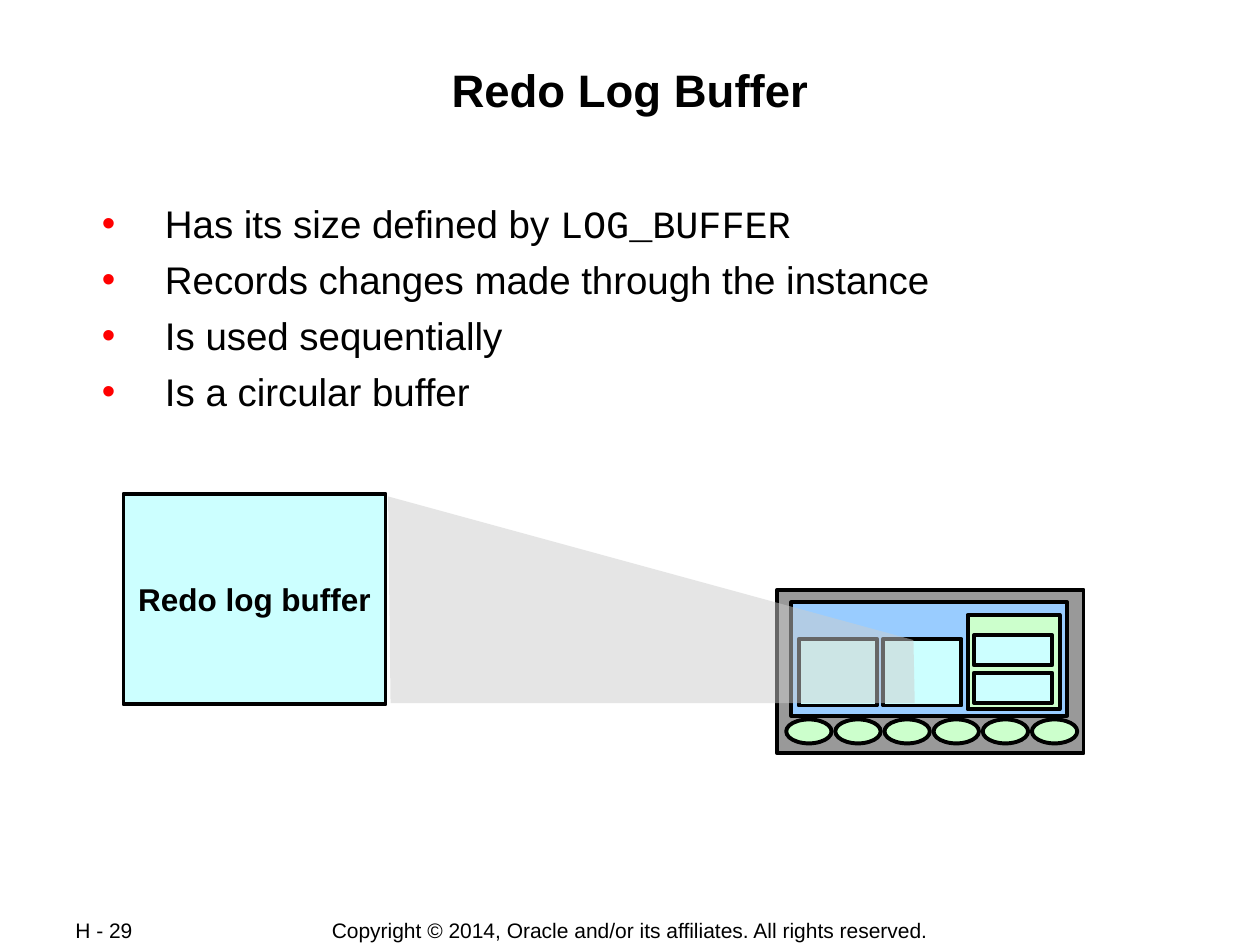
from dataclasses import dataclass
from lxml import etree
from pptx import Presentation
from pptx.dml.color import RGBColor
from pptx.enum.shapes import MSO_SHAPE
from pptx.enum.text import MSO_ANCHOR, PP_ALIGN
from pptx.oxml.ns import qn
from pptx.util import Inches, Pt

RECT, OVAL = MSO_SHAPE.RECTANGLE, MSO_SHAPE.OVAL
TOP, MIDDLE = MSO_ANCHOR.TOP, MSO_ANCHOR.MIDDLE
LEFT, CENTER = PP_ALIGN.LEFT, PP_ALIGN.CENTER
BLACK, GRAY, BLUE = "000000", "999999", "99CCFF"
CYAN, GREEN, RED, SILVER = "CCFFFF", "CCFFCC", "FF0000", "CCCCCC"
SANS, MONO = "Arial", "Courier New"


@dataclass
class Box:
    left: float
    top: float
    width: float
    height: float
    fill: str = CYAN
    kind: MSO_SHAPE = RECT

    def lengths(self) -> list:
        return [Inches(n) for n in (self.left, self.top, self.width, self.height)]


@dataclass
class Label:
    box: Box
    text: str
    size: float
    bold: bool = False
    align: PP_ALIGN = CENTER
    anchor: MSO_ANCHOR = MIDDLE
    wrap: bool = False
    side: float = 0.1
    edge: float = 0.05


def paint(color, code: str) -> None:
    color.rgb = RGBColor.from_string(code)


def apply(target, values: dict) -> None:
    for name, value in values.items():
        setattr(target, name, value)


def add_box(shapes, box: Box):
    shape = shapes.add_shape(box.kind, *box.lengths())
    shape.shadow.inherit = False
    shape.fill.solid()
    paint(shape.fill.fore_color, box.fill)
    paint(shape.line.color, BLACK)
    shape.line.width = Pt(2.25)
    return shape


def set_frame(frame, anchor: MSO_ANCHOR, wrap: bool, side: float, edge: float) -> None:
    apply(frame, {"vertical_anchor": anchor, "word_wrap": wrap,
                  "margin_left": Inches(side), "margin_right": Inches(side),
                  "margin_top": Inches(edge), "margin_bottom": Inches(edge)})


def add_run(para, text: str, size: float, bold: bool = False, face: str = SANS) -> None:
    run = para.add_run()
    run.text = text
    apply(run.font, {"name": face, "size": Pt(size), "bold": bold})
    paint(run.font.color, BLACK)


def write(shape, label: Label) -> None:
    frame = shape.text_frame
    set_frame(frame, label.anchor, label.wrap, label.side, label.edge)
    para = frame.paragraphs[0]
    para.alignment = label.align
    add_run(para, label.text, label.size, label.bold)


def add_label(shapes, label: Label) -> None:
    write(shapes.add_textbox(*label.box.lengths()), label)


def add_bullet(para) -> None:
    props = para._p.get_or_add_pPr()
    props.set("marL", str(Inches(0.63)))
    props.set("indent", str(Inches(-0.5)))
    color = etree.SubElement(props, qn("a:buClr"))
    etree.SubElement(color, qn("a:srgbClr")).set("val", RED)
    etree.SubElement(props, qn("a:buFont")).set("typeface", SANS)
    etree.SubElement(props, qn("a:buChar")).set("char", "•")


def add_list(shapes, box: Box, items: list) -> None:
    frame = shapes.add_textbox(*box.lengths()).text_frame
    set_frame(frame, TOP, True, 0.01, 0.01)
    for i, parts in enumerate(items):
        para = frame.add_paragraph() if i else frame.paragraphs[0]
        add_bullet(para)
        if i:
            para.space_before = Pt(5.5)
        for text, face in parts:
            add_run(para, text, 22, face=face)


def add_beam(shapes, points: list) -> None:
    first, *rest = [(Inches(x), Inches(y)) for x, y in points]
    pen = shapes.build_freeform(*first)
    pen.add_line_segments(rest, close=True)
    beam = pen.convert_to_shape()
    beam.shadow.inherit = False
    beam.fill.solid()
    paint(beam.fill.fore_color, SILVER)
    beam.line.fill.background()
    color = beam._element.spPr.find(qn("a:solidFill")).find(qn("a:srgbClr"))
    etree.SubElement(color, qn("a:alpha")).set("val", "50000")


def main() -> None:
    deck = Presentation()
    deck.slide_width, deck.slide_height = Inches(10), Inches(7.5)
    shapes = deck.slides.add_slide(deck.slide_layouts[6]).shapes

    add_label(shapes, Label(Box(2.4, 7.28, 5.2, 0.21),
              "Copyright © 2014, Oracle and/or its affiliates. All rights reserved.", 12))
    add_label(shapes, Label(Box(0.5, 7.28, 1.06, 0.21), "H - 29", 12, align=LEFT))

    parts = [
        Box(6.17, 4.68, 2.43, 1.3, GRAY),
        Box(6.28, 4.78, 2.19, 0.9, BLUE),
        *[Box(x, 5.07, 0.62, 0.53) for x in (6.34, 7.01)],
        Box(7.68, 4.88, 0.73, 0.75, GREEN),
        *[Box(7.73, y, 0.62, 0.24) for y in (5.04, 5.34)],
        *[Box(6.24 + 0.39 * i, 5.71, 0.36, 0.19, GREEN, OVAL) for i in range(6)],
    ]
    group = shapes.add_group_shape()
    for part in parts:
        add_box(group.shapes, part)

    add_label(shapes, Label(Box(0.67, 0.48, 8.66, 0.96), "Redo Log Buffer", 26, bold=True,
                            anchor=TOP, wrap=True, side=0.01, edge=0.01))
    add_list(shapes, Box(0.67, 1.58, 8.66, 1.72), [
        [("Has its size defined by ", SANS), ("LOG_BUFFER", MONO)],
        [("Records changes made through the instance", SANS)],
        [("Is used sequentially", SANS)],
        [("Is a circular buffer", SANS)],
    ])

    panel = Box(0.98, 3.92, 2.08, 1.67)
    write(add_box(shapes, panel), Label(panel, "Redo log buffer", 18, bold=True))
    add_beam(shapes, [(3.1, 5.58), (7.26, 5.58), (7.25, 5.08), (3.08, 3.94)])
    deck.save("out.pptx")


if __name__ == "__main__":
    main()
